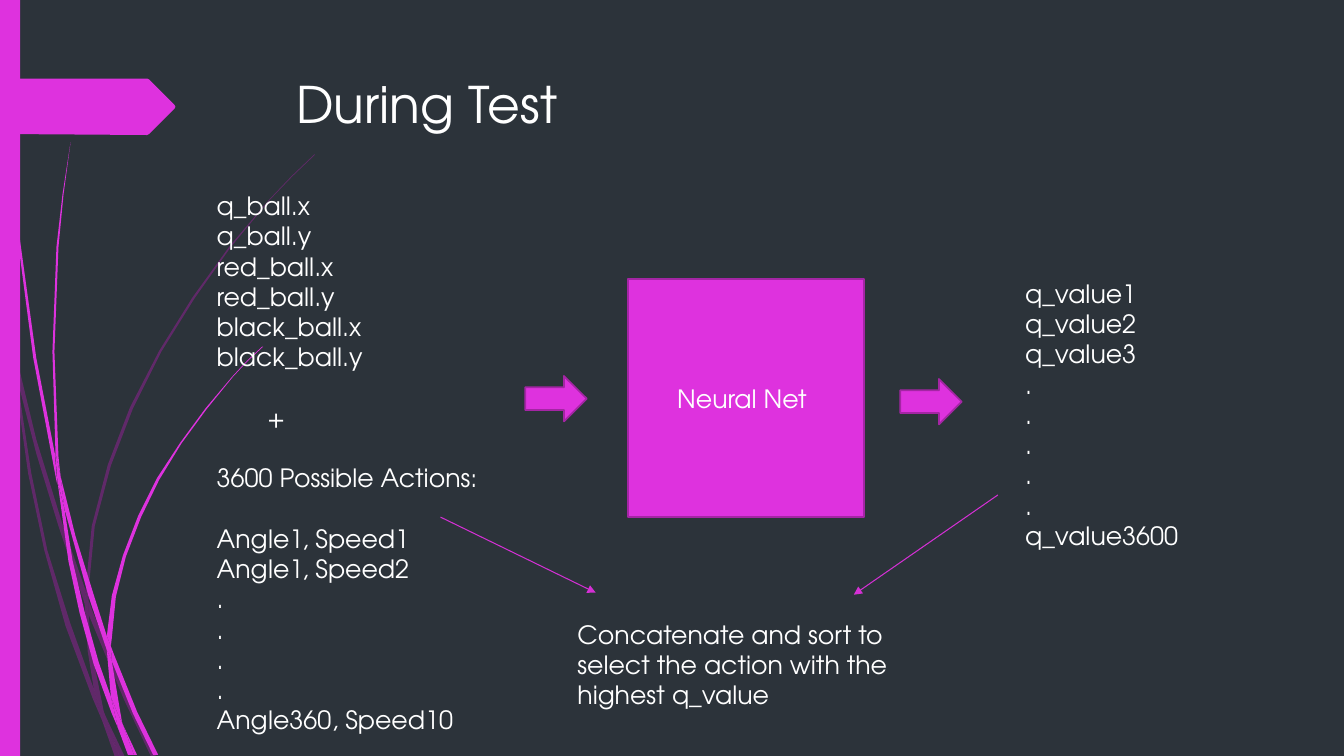
"""Build the "During Test" slide: network inputs, the net, its q-values and the selection step."""
from lxml import etree
from pptx import Presentation
from pptx import util as u
from pptx.dml.color import RGBColor
from pptx.enum import shapes, text
from pptx.oxml.ns import qn

COLORS = {"background": "2C333A", "accent": "DE32DE", "outline": "A425A4",
          "arrow": "D430D4", "shade": "B01CB0", "text": "FFFFFF"}
FONT = "TeX Gyre Adventor"
COLUMNS, ROWS = 133.33, 75
STRAND_UNIT = 0.1

BACK_STRANDS = [
    [11, 350, 9, 322, 0, 282, 0, 299, 10, 344],
    [58, 522, 84, 599, 85, 586, 62, 520, 36, 436, 14, 345, 17, 376, 36, 450],
    [92, 607, 88, 596, 88, 610, 123, 694, 150, 751, 155, 751, 127, 692],
    [119, 751, 124, 751, 105, 711],
    [93, 683, 70, 619, 47, 546, 31, 469, 17, 376, 11, 350, 28, 470, 44, 546,
     65, 621, 92, 693, 101, 714, 99, 707],
    [84, 599, 87, 646, 93, 683, 96, 692, 105, 711, 103, 706, 91, 646, 88, 610, 88, 608],
    [88, 584, 94, 522, 110, 462, 132, 405, 160, 349, 193, 296, 229, 245, 268, 198,
     290, 175, 312, 154, 312, 153, 289, 175, 268, 197, 228, 244, 191, 295, 158, 348,
     129, 404, 107, 461, 91, 522, 85, 584, 85, 586, 88, 596],
    [101, 714, 114, 751, 119, 751],
    [88, 608, 88, 610, 88, 596, 85, 586, 84, 599],
    [96, 692, 93, 683, 99, 707, 101, 714, 119, 751, 105, 711],
]
FRONT_STRANDS = [
    [7, 110, 17, 233, 33, 355, 56, 477, 57, 481, 55, 457, 55, 453, 36, 355,
     19, 232, 8, 109, 5, 48, 4, 0, 3, 0, 4, 48],
    [88, 592, 106, 645, 106, 633, 106, 631, 93, 590, 75, 532, 60, 472, 64, 505],
    [113, 649, 110, 641, 111, 656, 132, 708, 152, 749, 157, 749, 136, 706],
    [110, 691, 98, 657, 84, 607, 72, 556, 64, 505, 57, 477, 68, 557, 79, 608,
     93, 659, 111, 708, 117, 722, 116, 717],
    [60, 472, 58, 453, 54, 349, 58, 245, 63, 193, 70, 141, 62, 193, 56, 245,
     52, 349, 55, 449],
    [133, 749, 136, 749, 122, 719],
    [57, 477, 64, 505, 60, 472, 55, 449, 55, 453],
    [111, 633, 115, 592, 125, 552, 140, 513, 158, 476, 180, 440, 205, 406, 231, 374,
     245, 359, 261, 344, 260, 344, 245, 358, 231, 373, 204, 405, 179, 439, 156, 474,
     137, 512, 122, 551, 111, 591, 106, 631, 110, 641],
    [117, 722, 127, 749, 131, 749],
    [106, 645, 110, 691, 116, 706, 122, 719, 121, 716, 111, 656, 109, 651],
    [106, 645, 109, 651, 111, 656, 110, 641, 106, 631, 106, 633],
    [116, 706, 110, 691, 116, 717, 117, 722, 130, 749, 133, 749, 122, 719],
]
FLAG = [0, 78, 146, 78, 148, 79, 173, 104, 174, 106, 173, 108, 148, 133, 146, 134, 0, 133]

STATE = ["q_ball.x", "q_ball.y", "red_ball.x", "red_ball.y", "black_ball.x", "black_ball.y"]
ACTIONS = ["Angle1, Speed1", "Angle1, Speed2", *["."] * 4, "Angle360, Speed10"]
Q_VALUES = ["q_value1", "q_value2", "q_value3", *["."] * 5, "q_value3600"]


def color(name):
    return RGBColor.from_string(COLORS[name])


def write(paragraph, words, size=18, gap=0, indent=0):
    paragraph.alignment = text.PP_ALIGN.LEFT
    paragraph.space_before = u.Pt(gap)
    properties = paragraph._p.get_or_add_pPr()
    properties.set("marL", str(u.Inches(indent)))
    properties.set("indent", "0")
    etree.SubElement(properties, qn("a:buNone"))
    run = paragraph.add_run()
    run.text = words
    run.font.size = u.Pt(size)
    run.font.name = FONT
    run.font.color.rgb = color("text")


class Canvas:
    """Style and current slide, measured in grid columns and rows."""

    def __init__(self, presentation, layout):
        self.slide = presentation.slides.add_slide(presentation.slide_layouts[layout])
        self.column = presentation.slide_width / COLUMNS
        self.row = presentation.slide_height / ROWS
        fill = self.slide.background.fill
        fill.solid()
        fill.fore_color.rgb = color("background")

    def place(self, column, row):
        return round(column * self.column), round(row * self.row)

    def paint(self, shape, fill, line=None, opacity=None):
        shape.shadow.inherit = False
        shape.fill.solid()
        shape.fill.fore_color.rgb = color(fill)
        if opacity:
            solid = shape._element.spPr.find(qn("a:solidFill"))
            etree.SubElement(solid[0], qn("a:alpha"), val=str(opacity * 1000))
        if line:
            shape.line.color.rgb = color(line)
            shape.line.width = u.Pt(1.25)
        else:
            shape.line.fill.background()

    def outline(self, numbers, fill, opacity=None):
        points = [self.place(x * STRAND_UNIT, y * STRAND_UNIT)
                  for x, y in zip(numbers[::2], numbers[1::2])]
        builder = self.slide.shapes.build_freeform(*points[0], scale=1.0)
        builder.add_line_segments(points[1:], close=True)
        self.paint(builder.convert_to_shape(), fill, opacity=opacity)

    def block(self, kind, left, top, width, height, line=None):
        shape = self.slide.shapes.add_shape(
            kind, *self.place(left, top), *self.place(width, height))
        self.paint(shape, "accent", line)

    def fill_text(self, shape, lines, **style):
        frame = shape.text_frame
        frame.word_wrap = True
        frame.auto_size = text.MSO_AUTO_SIZE.NONE
        frame.vertical_anchor = text.MSO_ANCHOR.TOP
        for number, words in enumerate(lines):
            paragraph = frame.add_paragraph() if number else frame.paragraphs[0]
            words, extra = words if isinstance(words, tuple) else (words, {})
            write(paragraph, words, **{**style, **extra})

    def placeholder(self, index, left, top, width, height, lines, **style):
        shape = self.slide.placeholders[index]
        shape.left, shape.top = self.place(left, top)
        shape.width, shape.height = self.place(width, height)
        self.slide.shapes._spTree.append(shape._element)
        self.fill_text(shape, lines, **style)

    def label(self, left, top, width, height, words):
        shape = self.slide.shapes.add_textbox(
            *self.place(left, top), *self.place(width, height))
        self.fill_text(shape, [words])

    def arrow(self, start, end):
        connector = self.slide.shapes.add_connector(
            shapes.MSO_CONNECTOR.STRAIGHT, *self.place(*start), *self.place(*end))
        connector.line.color.rgb = color("arrow")
        connector.line.width = u.Pt(0.75)
        etree.SubElement(connector.line._get_or_add_ln(), qn("a:tailEnd"), type="triangle")
        etree.SubElement(connector._element.spPr, qn("a:effectLst"))


def main():
    presentation = Presentation()
    presentation.slide_width, presentation.slide_height = u.Inches(13.33), u.Inches(7.5)
    canvas = Canvas(presentation, layout=3)

    for strand in BACK_STRANDS:
        canvas.outline(strand, "shade", opacity=40)
    for strand in FRONT_STRANDS:
        canvas.outline(strand, "accent")
    canvas.block(shapes.MSO_SHAPE.RECTANGLE, 0, 0, 2, ROWS)
    canvas.outline(FLAG, "accent")

    blank_line = {"gap": 21.6}
    inputs = [*STATE, ("+", {"gap": 21.6, "indent": 0.5}),
              ("3600 Possible Actions:", blank_line), (ACTIONS[0], blank_line), *ACTIONS[1:]]
    canvas.placeholder(0, 28.4, 6.8, 97.5, 14, ["During Test"], size=36)
    canvas.placeholder(1, 20.5, 18.4, 36.7, 55.5, inputs)
    canvas.block(shapes.MSO_SHAPE.RECTANGLE, 62.3, 27.7, 23.4, 23.6, "outline")
    canvas.label(66.2, 37.5, 17.4, 4, "Neural Net")
    for left, top in [(52.1, 37.3), (89.3, 37.6)]:
        canvas.block(shapes.MSO_SHAPE.RIGHT_ARROW, left, top, 6.1, 4.5, "outline")
    canvas.placeholder(2, 100.7, 27.1, 21, 28.3, Q_VALUES)
    canvas.arrow((43.7, 51.3), (59.1, 58.8))
    canvas.arrow((99, 49.1), (84.7, 59))
    canvas.label(56.3, 60.9, 33, 10.1,
                 "Concatenate and sort to select the action with the highest q_value")
    presentation.save("out.pptx")


if __name__ == "__main__":
    main()
